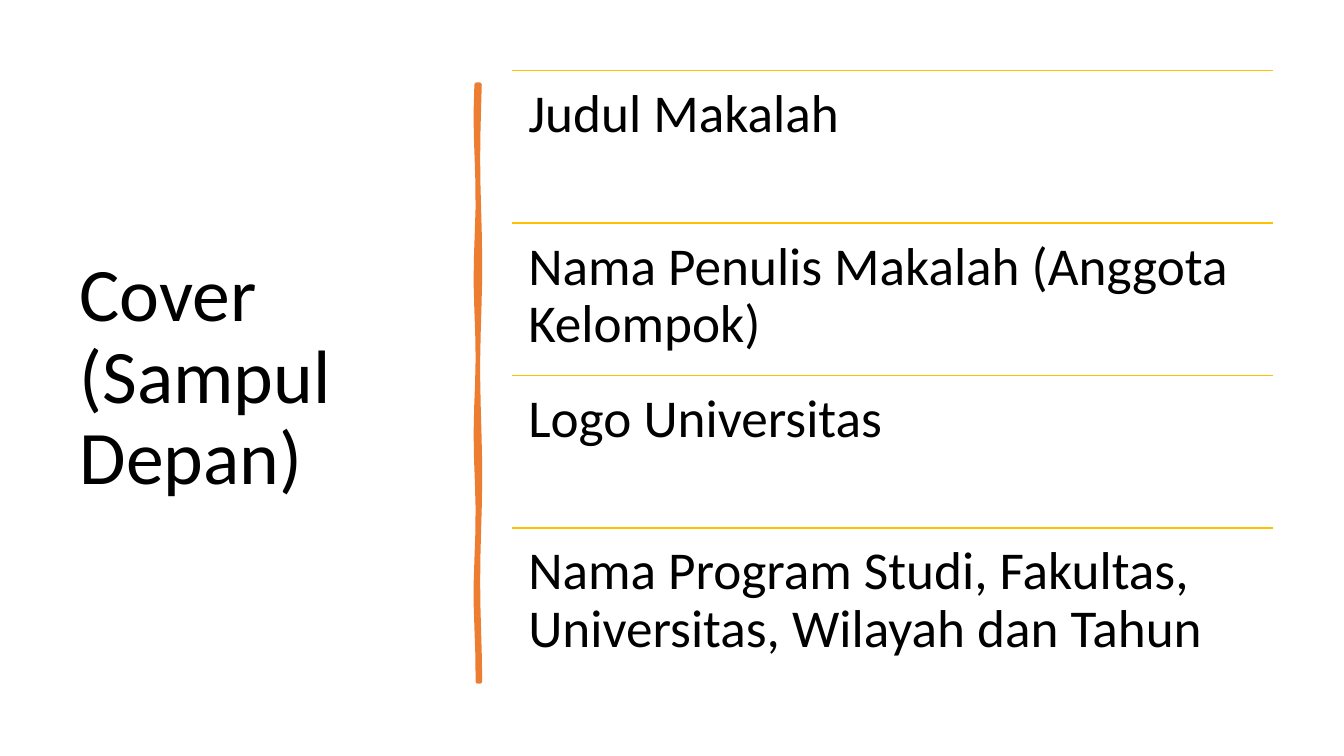
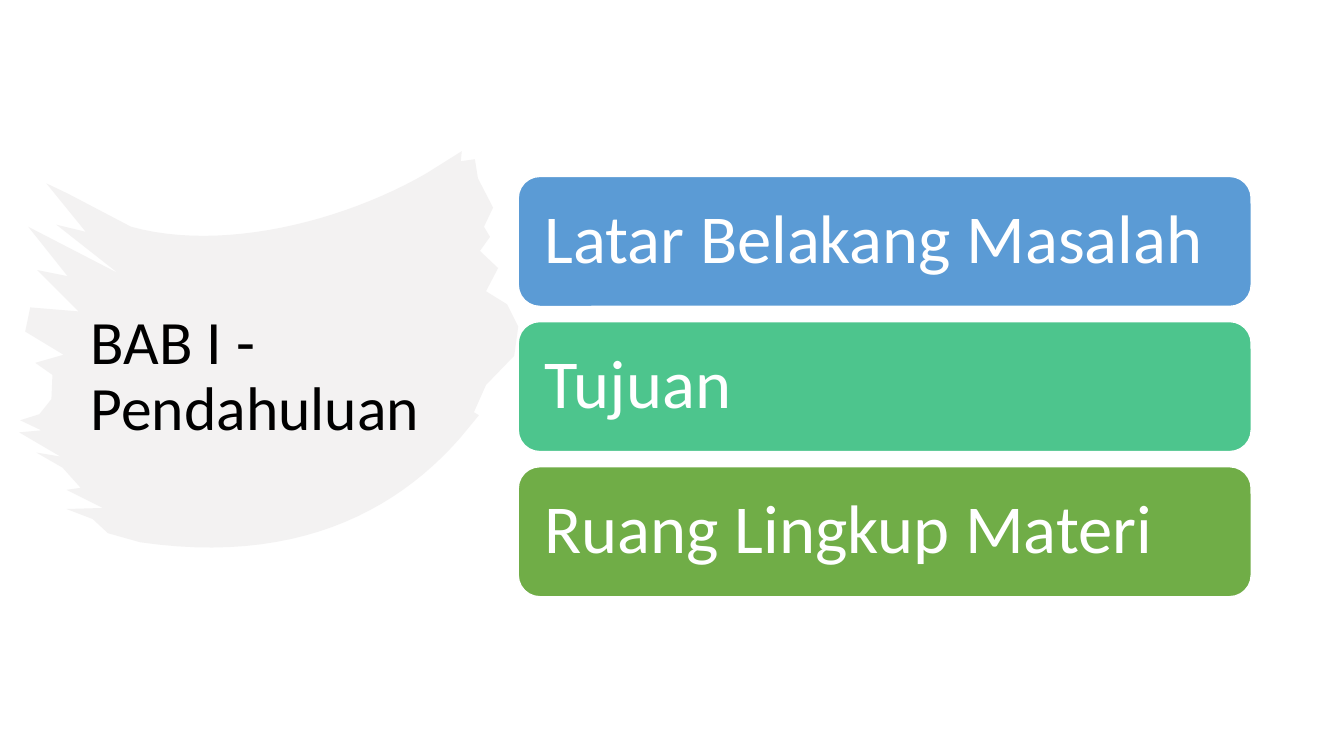
import math

import pptx
import pptx.util
import pptx.dml.color
import pptx.enum.shapes
import pptx.enum.text
import pptx.oxml.ns
import lxml.etree

Inches, Pt = pptx.util.Inches, pptx.util.Pt
ANCHOR = pptx.enum.text.MSO_ANCHOR
FONT = "Calibri"
HUES = {
    "ink": "000000", "white": "FFFFFF", "brush": "F3F2F2",
    "bar": "ED7D31", "rule": "FFC000",
    "blue": "5B9BD5", "teal": "4DC58D", "green": "70AD47",
}
COLORS = {name: pptx.dml.color.RGBColor.from_string(h) for name, h in HUES.items()}


def write(shape, text, size, color, anchor, inset):
    """Fill a shape with left-aligned text in the shared style."""
    frame = shape.text_frame
    frame.text = text
    frame.word_wrap = True
    frame.auto_size = pptx.enum.text.MSO_AUTO_SIZE.NONE
    frame.vertical_anchor = anchor
    frame.margin_left = frame.margin_right = Inches(inset)
    frame.margin_top = frame.margin_bottom = Inches(inset)
    para = frame.paragraphs[0]
    para.alignment = pptx.enum.text.PP_ALIGN.LEFT
    para.line_spacing = 0.9
    for run in para.runs:
        run.font.name = FONT
        run.font.size = Pt(size)
        run.font.color.rgb = COLORS[color]


def draw(slide, points, color):
    """Add a closed, filled outline through points given in inches."""
    spots = [(Inches(x), Inches(y)) for x, y in points]
    form = slide.shapes.build_freeform(*spots[0])
    form.add_line_segments(spots[1:], close=True)
    shape = form.convert_to_shape()
    shape.shadow.inherit = False
    shape.fill.solid()
    shape.fill.fore_color.rgb = COLORS[color]
    shape.line.fill.background()
    return shape


deck = pptx.Presentation()
deck.slide_width, deck.slide_height = Inches(13.33), Inches(7.5)

titles = [
    ("Cover\v(Sampul Depan)", 54, (0.69, 0.7, 3.74, 6.11)),
    ("BAB I - Pendahuluan", 44, (0.8, 0.74, 3.82, 6.01)),
]
slides = []
for text, size, box in titles:
    slide = deck.slides.add_slide(deck.slide_layouts[5])
    title = slide.shapes.title
    title.left, title.top, title.width, title.height = map(Inches, box)
    write(title, text, size, "ink", ANCHOR.MIDDLE, 0.1)
    slides.append(slide)
cover, intro = slides

# Cover: wavy bar and ruled list
steps = 24
ys = [0.84 + 5.92 * i / steps for i in range(steps + 1)]
east = [(4.75 + 0.01 * math.sin(3 * y), y) for y in ys]
west = [(4.73 + 0.01 * math.sin(4 * y), y) for y in reversed(ys)]
bar = draw(cover, east + west, "bar")
bar.line.color.rgb = COLORS["bar"]
bar.line.width = Pt(3.25)

items = [
    "Judul Makalah",
    "Nama Penulis Makalah (Anggota Kelompok)",
    "Logo Universitas",
    "Nama Program Studi, Fakultas, Universitas, Wilayah dan Tahun",
]
left, top, width, height = 5.08, 0.7, 7.55, 6.05
step = height / len(items)
for row, item in enumerate(items):
    y = Inches(top + row * step)
    rule = cover.shapes.add_connector(
        pptx.enum.shapes.MSO_CONNECTOR.STRAIGHT,
        Inches(left), y, Inches(left + width), y)
    rule.line.color.rgb = COLORS["rule"]
    rule.line.width = Pt(1)
    lxml.etree.SubElement(rule.element.spPr, pptx.oxml.ns.qn("a:effectLst"))
    label = cover.shapes.add_textbox(Inches(left), y, Inches(width), Inches(step))
    write(label, item, 38, "ink", ANCHOR.TOP, 0.16)

# Introduction: brush stroke with ragged ends and smooth long sides
right = [
    (4.58, 1.5), (4.57, 1.6), (4.71, 1.58), (4.74, 1.77), (4.89, 2.06),
    (4.8, 2.25), (4.86, 2.35), (4.76, 2.49), (4.94, 2.66), (4.82, 2.89),
    (5.03, 3.02), (5.14, 3.24), (5.1, 3.53), (4.82, 3.82), (4.7, 4.09),
    (4.75, 4.12),
]
ragged = [
    (1.07, 5.29), (0.92, 5.15), (0.66, 5.05), (1.02, 5.04), (0.66, 4.86),
    (0.8, 4.84), (0.62, 4.64), (0.36, 4.49), (0.6, 4.53), (0.19, 4.29),
    (0.41, 4.27), (0.2, 4.17), (0.39, 4.11), (0.51, 3.96), (0.52, 3.72),
    (0.35, 3.6), (0.63, 3.52), (0.25, 3.29), (0.3, 3.05), (0.78, 3.09),
    (0.37, 2.68), (0.67, 2.74), (0.28, 2.25), (1.17, 2.71), (0.56, 2.23),
    (0.85, 2.3), (0.46, 1.82), (0.67, 1.92),
]
lower = [(4.56, 4.35), (3.9, 5.1), (2.9, 5.6), (1.39, 5.38)]
upper = [(1.3, 2.25), (2.2, 2.5), (3.4, 2.2), (4.23, 1.72)]
outline = []
for edge, curve in ((right, lower), (ragged, upper)):
    outline += edge
    for i in range(steps + 1):
        t = i / steps
        parts = [math.comb(3, k) * t**k * (1 - t)**(3 - k) for k in range(4)]
        outline.append([sum(p * c for p, c in zip(parts, axis))
                        for axis in zip(*curve)])
brush = draw(intro, outline, "brush")
intro.shapes.title.element.addprevious(brush.element)

cards = [("Latar Belakang Masalah", "blue"), ("Tujuan", "teal"),
         ("Ruang Lingkup Materi", "green")]
for row, (text, color) in enumerate(cards):
    card = intro.shapes.add_shape(
        pptx.enum.shapes.MSO_SHAPE.ROUNDED_RECTANGLE,
        Inches(5.14), Inches(1.75 + row * 1.44), Inches(7.27), Inches(1.29))
    card.shadow.inherit = False
    card.fill.solid()
    card.fill.fore_color.rgb = COLORS[color]
    card.line.color.rgb = COLORS["white"]
    card.line.width = Pt(1)
    write(card, text, 49, "white", ANCHOR.MIDDLE, 0.2)

deck.save("out.pptx")
